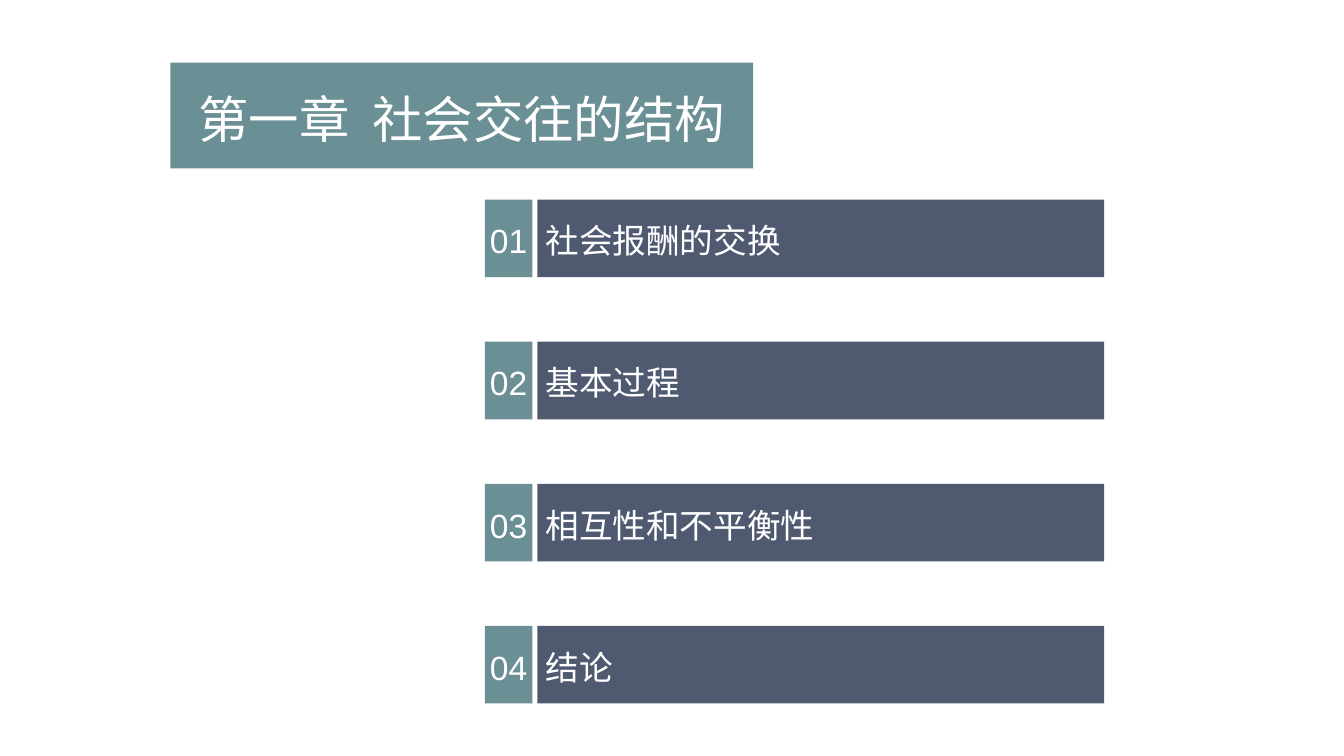
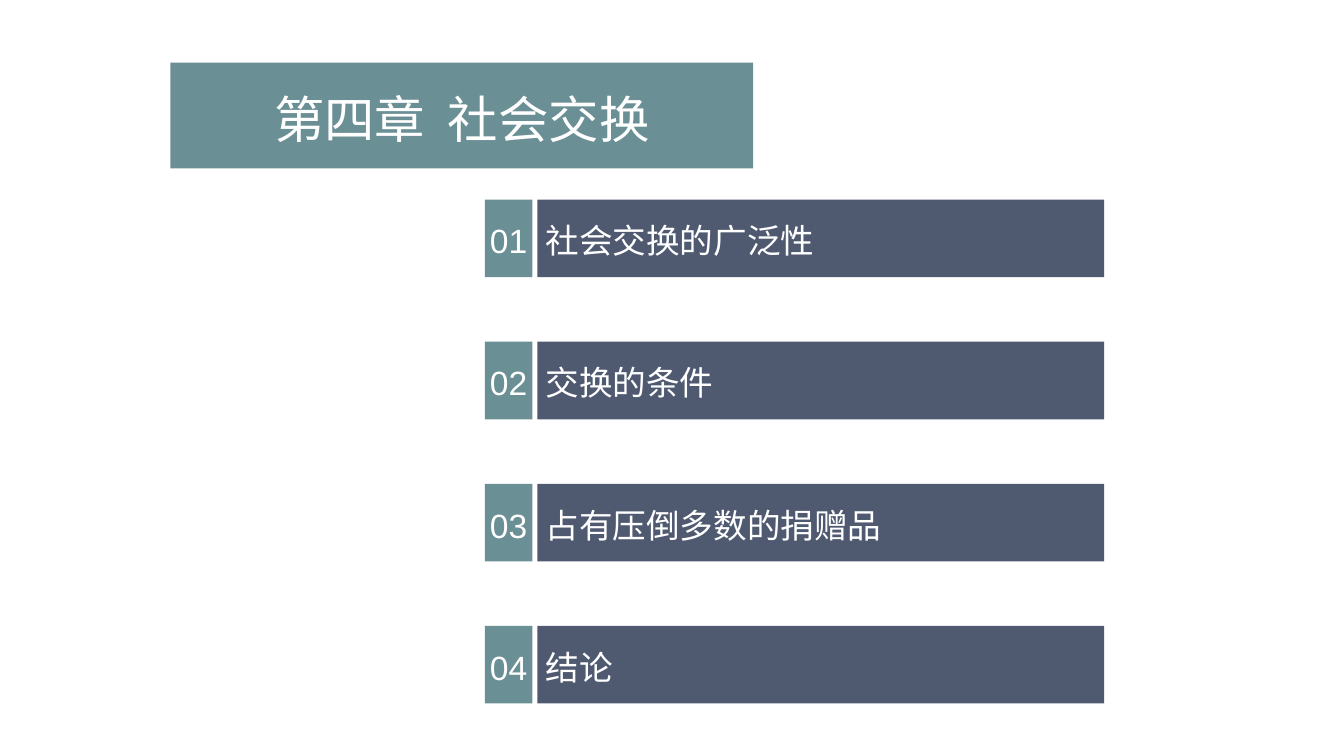
import pptx
import pptx.util
import pptx.dml.color
import pptx.enum.shapes
import pptx.enum.text

Inches = pptx.util.Inches
Align = pptx.enum.text.PP_ALIGN


def color(code):
    return pptx.dml.color.RGBColor.from_string(code)


class Deck:
    teal = "6A8F94"
    slate = "4F5A71"
    white = "FFFFFF"
    font = "Arial"

    def __init__(self):
        self.file = pptx.Presentation()
        self.file.slide_width = Inches(13.33)
        self.file.slide_height = Inches(7.5)
        self.slide = None

    def start(self, title):
        self.slide = self.file.slides.add_slide(self.file.slide_layouts[5])
        fill = self.slide.background.fill
        fill.solid()
        fill.fore_color.rgb = color(self.white)
        head = self.slide.shapes.title
        head.left, head.top = Inches(1.69), Inches(0.62)
        head.width, head.height = Inches(5.78), Inches(1.05)
        self.style(head, title, self.teal, 36, Align.CENTER)

    def style(self, shape, text, fill, size, align, inset=0):
        shape.fill.solid()
        shape.fill.fore_color.rgb = color(fill)
        shape.line.fill.background()
        frame = shape.text_frame
        frame.text = text
        frame.word_wrap = True
        frame.auto_size = pptx.enum.text.MSO_AUTO_SIZE.NONE
        frame.vertical_anchor = pptx.enum.text.MSO_ANCHOR.MIDDLE
        frame.margin_left = Inches(inset)
        frame.margin_top = frame.margin_right = frame.margin_bottom = 0
        para = frame.paragraphs[0]
        para.alignment = align
        para.line_spacing = 1.1
        para.font.name = self.font
        para.font.size = pptx.util.Pt(size)
        para.font.color.rgb = color(self.white)

    def bar(self, left, top, width, text, fill, align, inset=0):
        shape = self.slide.shapes.add_shape(
            pptx.enum.shapes.MSO_SHAPE.RECTANGLE,
            Inches(left), Inches(top), Inches(width), Inches(0.77))
        shape.shadow.inherit = False
        self.style(shape, text, fill, 24, align, inset)

    def agenda(self, items):
        for row, item in enumerate(items):
            top = 1.98 + row * 1.41
            self.bar(4.81, top, 0.47, f"{row + 1:02}", self.teal, Align.CENTER)
            self.bar(5.33, top, 5.62, item, self.slate, Align.LEFT, 0.08)

    def save(self):
        self.file.save("out.pptx")


deck = Deck()
parts = {
    "第一章  社会交往的结构":
        ["社会报酬的交换", "基本过程", "相互性和不平衡性", "结论"],
    "第四章  社会交换":
        ["社会交换的广泛性", "交换的条件", "占有压倒多数的捐赠品", "结论"],
}
for title, items in parts.items():
    deck.start(title)
    deck.agenda(items)
deck.save()
